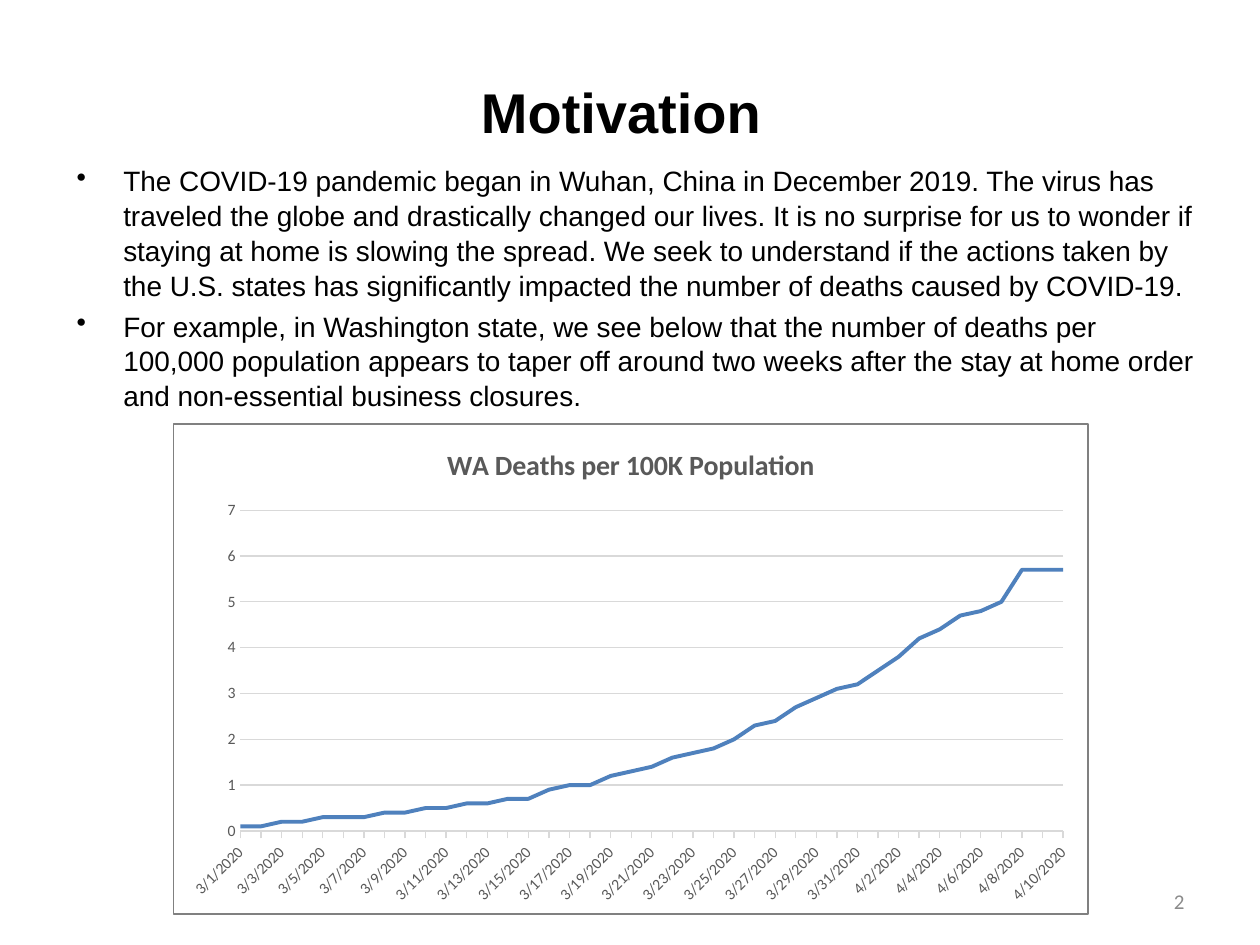
import pptx
import pptx.chart.data
import pptx.dml.color
import pptx.enum.chart
import pptx.enum.text
import pptx.oxml
import pptx.oxml.ns
import pptx.util
from pptx.util import Inches

ALIGN = pptx.enum.text.PP_ALIGN
ANCHOR = pptx.enum.text.MSO_ANCHOR
TICK = pptx.enum.chart.XL_TICK_MARK

BULLETS = [
    "The COVID-19 pandemic began in Wuhan, China in December 2019. The virus has "
    "traveled the globe and drastically changed our lives. It is no surprise for us "
    "to wonder if staying at home is slowing the spread. We seek to understand if the "
    "actions taken by the U.S. states has significantly impacted the number of deaths "
    "caused by COVID-19.",
    "For example, in Washington state, we see below that the number of deaths per "
    "100,000 population appears to taper off around two weeks after the stay at home "
    "order and non-essential business closures.",
]
DATES = [f"{month}/{day}/2020" for month, days in ((3, 31), (4, 10))
         for day in range(1, days + 1)]
DEATHS = [0.1, 0.1, 0.2, 0.2, 0.3, 0.3, 0.3, 0.4, 0.4, 0.5, 0.5, 0.6, 0.6, 0.7,
          0.7, 0.9, 1, 1, 1.2, 1.3, 1.4, 1.6, 1.7, 1.8, 2, 2.3, 2.4, 2.7, 2.9, 3.1,
          3.2, 3.5, 3.8, 4.2, 4.4, 4.7, 4.8, 5, 5.7, 5.7, 5.7]


def rgb(color):
    return pptx.dml.color.RGBColor.from_string(color)


def set_font(font, size, color, name="Arial", bold=False):
    font.size = pptx.util.Pt(size)
    font.name = name
    font.bold = bold
    font.color.rgb = rgb(color)


def set_line(line, color, width=0.75):
    line.color.rgb = rgb(color)
    line.width = pptx.util.Pt(width)


def add_text(page, at, texts, size, color="000000", name="Arial", bold=False,
             align=ALIGN.LEFT, anchor=ANCHOR.MIDDLE, bullet=False):
    frame = page.shapes.add_textbox(*map(Inches, at)).text_frame
    frame.word_wrap = True
    frame.vertical_anchor = anchor
    for index, text in enumerate(texts):
        para = frame.add_paragraph() if index else frame.paragraphs[0]
        para.alignment = align
        span = para.add_run()
        span.text = text
        set_font(span.font, size, color, name, bold)
        if bullet:
            add_bullet(para)


def add_bullet(para):
    para.space_before = pptx.util.Pt(3.2)
    para.line_spacing = 1.04
    props = para._p.get_or_add_pPr()
    props.set("marL", str(Inches(0.38)))
    props.set("indent", str(Inches(-0.37)))
    mark = pptx.oxml.parse_xml(
        f'<a:buChar {pptx.oxml.ns.nsdecls("a")} char="•"/>')
    props.append(mark)


def add_deaths_chart(page, at):
    data = pptx.chart.data.CategoryChartData()
    data.categories = DATES
    data.add_series("Series 1", DEATHS)
    chart = page.shapes.add_chart(
        pptx.enum.chart.XL_CHART_TYPE.LINE, *map(Inches, at), data).chart
    set_font(chart.font, 10, "000000")
    chart.has_legend = False

    # Title
    chart.has_title = True
    frame = chart.chart_title.text_frame
    frame.text = "WA Deaths per 100K Population"
    set_font(frame.paragraphs[0].runs[0].font, 16, "595959", "Calibri", True)
    chart.chart_title.include_in_layout = False

    # Series
    plot = chart.plots[0]
    plot.vary_by_categories = False
    series = plot.series[0]
    series.smooth = False
    series.marker.style = pptx.enum.chart.XL_MARKER_STYLE.NONE
    set_line(series.format.line, "4F81BD", 2.25)

    # Axes
    dates, values = chart.category_axis, chart.value_axis
    for axis in (dates, values):
        set_font(axis.tick_labels.font, 9, "595959", "Calibri")
        axis.minor_tick_mark = TICK.NONE
    dates.major_tick_mark = TICK.OUTSIDE
    set_line(dates.format.line, "D9D9D9")
    values.major_tick_mark = TICK.NONE
    values.format.line.fill.background()
    values.minimum_scale, values.maximum_scale, values.major_unit = 0, 7, 1
    values.has_major_gridlines = True
    set_line(values.major_gridlines.format.line, "D9D9D9")
    style_chart_xml(chart)


def insert_after(parent, tag, xml):
    parent.find(pptx.oxml.ns.qn(tag)).addnext(pptx.oxml.parse_xml(xml))


def style_chart_xml(chart):
    qn, names = pptx.oxml.ns.qn, pptx.oxml.ns.nsdecls("c", "a")
    dates, values = chart.category_axis._element, chart.value_axis._element

    # Slanted labels on every second date, line starting on the value axis
    body = dates.find(qn("c:txPr")).find(qn("a:bodyPr"))
    body.set("rot", "-2700000")
    body.set("vert", "horz")
    insert_after(dates, "c:lblOffset", f'<c:tickLblSkip {names} val="2"/>')
    insert_after(values, "c:crosses", f'<c:crossBetween {names} val="midCat"/>')

    # Frame around the chart
    insert_after(
        chart._chartSpace, "c:chart",
        f'<c:spPr {names}><a:solidFill><a:srgbClr val="FFFFFF"/></a:solidFill>'
        '<a:ln w="9525"><a:solidFill><a:srgbClr val="808080"/></a:solidFill></a:ln>'
        '</c:spPr>')


def main():
    deck = pptx.Presentation()
    deck.slide_width, deck.slide_height = Inches(10), Inches(7.5)
    page = deck.slides.add_slide(deck.slide_layouts[6])

    # Heading and bullets
    add_text(page, (0.43, 0.54, 9, 0.69), ["Motivation"], 32, bold=True,
             align=ALIGN.CENTER)
    add_text(page, (0.5, 1.24, 9.11, 5.46), BULLETS, 16, anchor=ANCHOR.TOP,
             bullet=True)

    # Page number and chart
    add_text(page, (7.17, 6.95, 2.33, 0.4), ["2"], 12, "8B8B8B", "Calibri",
             align=ALIGN.RIGHT)
    add_deaths_chart(page, (1.37, 3.36, 7.27, 3.9))
    deck.save("out.pptx")


if __name__ == "__main__":
    main()
